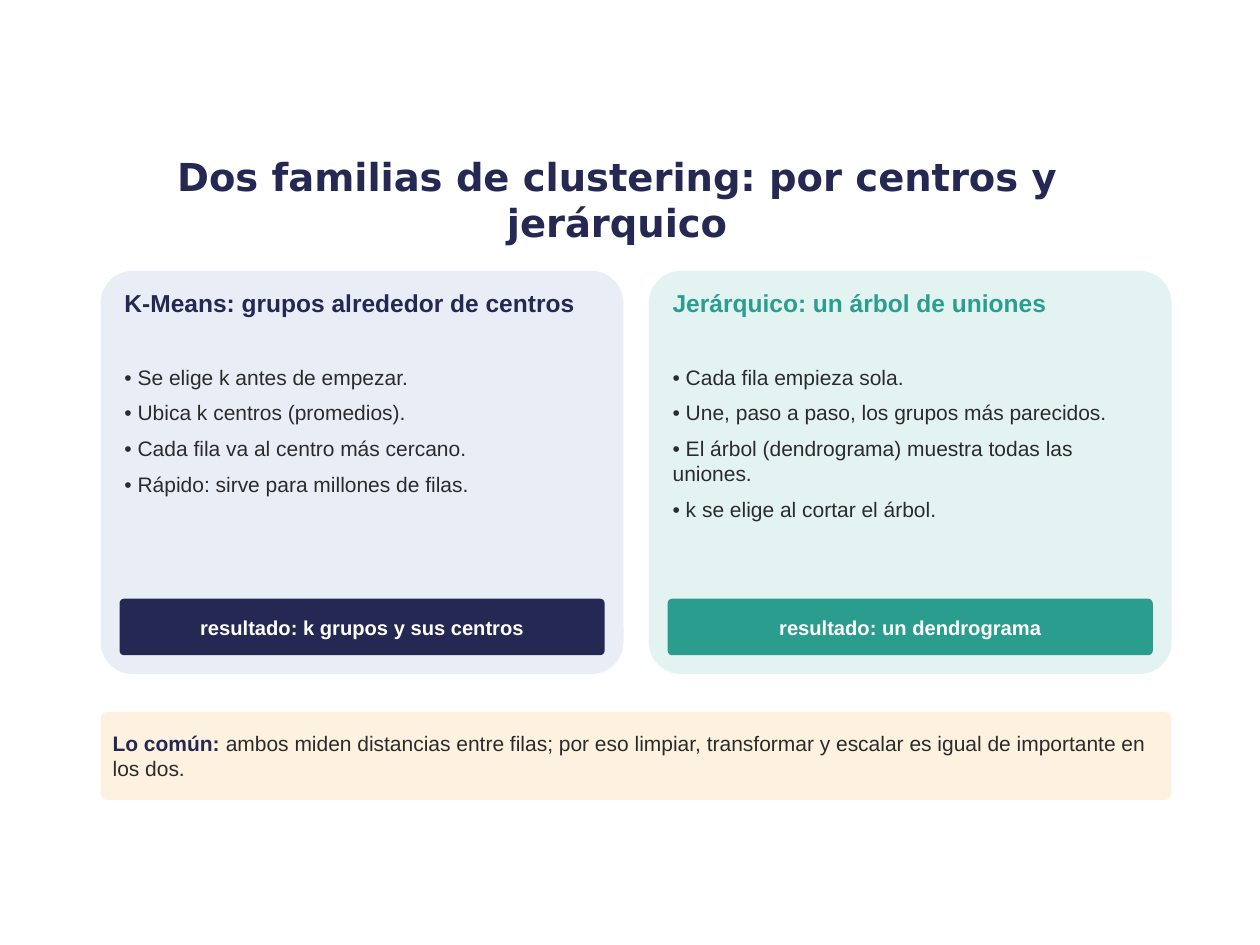
from dataclasses import dataclass

from pptx import Presentation
from pptx.dml.color import RGBColor
from pptx.enum.shapes import MSO_SHAPE
from pptx.enum.text import MSO_ANCHOR, PP_ALIGN
from pptx.util import Cm, Pt

ROUNDED = MSO_SHAPE.ROUNDED_RECTANGLE
TOP, MIDDLE = MSO_ANCHOR.TOP, MSO_ANCHOR.MIDDLE
LEFT, CENTER = PP_ALIGN.LEFT, PP_ALIGN.CENTER


@dataclass(frozen=True)
class Theme:
    navy: str = "242852"
    teal: str = "2A9D8F"
    ink: str = "2B2B2B"
    white: str = "FFFFFF"
    navy_tint: str = "E8EDF6"
    teal_tint: str = "E3F3F1"
    cream: str = "FDF2E0"
    title_font: str = "DejaVu Sans"
    body_font: str = "Arial"
    title: float = 22
    heading: float = 14
    body: float = 12
    result: float = 11.5


THEME = Theme()


def set_font(font, size, color, bold=False, name=THEME.body_font):
    font.name, font.size, font.bold = name, Pt(size), bold
    font.color.rgb = RGBColor.from_string(color)


def setup_frame(sp, inset, anchor=TOP):
    tf = sp.text_frame
    tf.word_wrap = True
    tf.vertical_anchor = anchor
    tf.margin_left = tf.margin_right = inset
    tf.margin_top = tf.margin_bottom = inset
    return tf


def add_panel(s, x, y, w, h, color):
    sp = s.shapes.add_shape(ROUNDED, x, y, w, h)
    sp.adjustments[0] = 0.08
    sp.shadow.inherit = False
    sp.fill.solid()
    sp.fill.fore_color.rgb = RGBColor.from_string(color)
    sp.line.fill.background()
    return sp


def add_paragraphs(tf, lines, after, align=LEFT, **font):
    for i, line in enumerate(lines):
        p = tf.add_paragraph() if i else tf.paragraphs[0]
        p.text = line
        p.alignment = align
        p.space_after = Pt(after)
        set_font(p.font, **font)


def add_title(s, x, y, w, h, text):
    tf = setup_frame(s.shapes.add_textbox(x, y, w, h), Cm(0.25), MIDDLE)
    tf.margin_top = tf.margin_bottom = Cm(0.13)
    add_paragraphs(tf, [text], 0, CENTER, size=THEME.title,
                   color=THEME.navy, bold=True, name=THEME.title_font)


def add_card(s, x, y, w, h, heading, points, result, accent, tint):
    pad, inset, bar_h = Cm(0.38), Cm(0.1), Cm(1.14)
    inner_x, inner_w = x + pad, w - 2 * pad
    bar_y = y + h - pad - bar_h
    points_y = y + Cm(1.78)
    add_panel(s, x, y, w, h, tint)

    box = s.shapes.add_textbox(inner_x, y + Cm(0.25), inner_w, Cm(1.27))
    add_paragraphs(setup_frame(box, inset), [heading], 4,
                   size=THEME.heading, color=accent, bold=True)

    box = s.shapes.add_textbox(inner_x, points_y, inner_w, bar_y - points_y)
    add_paragraphs(setup_frame(box, inset), [f"• {point}" for point in points],
                   6, size=THEME.body, color=THEME.ink)

    bar = add_panel(s, inner_x, bar_y, inner_w, bar_h, accent)
    add_paragraphs(setup_frame(bar, Cm(0.05), MIDDLE), [f"resultado: {result}"],
                   3, CENTER, size=THEME.result, color=THEME.white, bold=True)


def add_note(s, x, y, w, h, label, text):
    tf = setup_frame(add_panel(s, x, y, w, h, THEME.cream), Cm(0.2), MIDDLE)
    p = tf.paragraphs[0]
    p.alignment = LEFT
    p.space_after = Pt(3)
    for content, color, bold in ((label, THEME.navy, True),
                                 (text, THEME.ink, False)):
        r = p.add_run()
        r.text = content
        set_font(r.font, THEME.body, color, bold)


def main():
    prs = Presentation()
    prs.slide_width, prs.slide_height = Cm(25.4), Cm(19.05)
    s = prs.slides.add_slide(prs.slide_layouts[6])

    add_title(s, Cm(1.9), Cm(3), Cm(21.08), Cm(2.03),
              "Dos familias de clustering: por centros y jerárquico")

    x, w, gap = Cm(2.03), Cm(21.59), Cm(0.51)
    cards = [
        ("K-Means: grupos alrededor de centros",
         ["Se elige k antes de empezar.",
          "Ubica k centros (promedios).",
          "Cada fila va al centro más cercano.",
          "Rápido: sirve para millones de filas."],
         "k grupos y sus centros", THEME.navy, THEME.navy_tint),
        ("Jerárquico: un árbol de uniones",
         ["Cada fila empieza sola.",
          "Une, paso a paso, los grupos más parecidos.",
          "El árbol (dendrograma) muestra todas las uniones.",
          "k se elige al cortar el árbol."],
         "un dendrograma", THEME.teal, THEME.teal_tint),
    ]
    card_w = (w - gap) // 2
    for i, card in enumerate(cards):
        add_card(s, x + i * (card_w + gap), Cm(5.46), card_w, Cm(8.13), *card)

    add_note(s, x, Cm(14.35), w, Cm(1.78), "Lo común: ",
             "ambos miden distancias entre filas; por eso limpiar, "
             "transformar y escalar es igual de importante en los dos.")
    prs.save("out.pptx")


if __name__ == "__main__":
    main()
